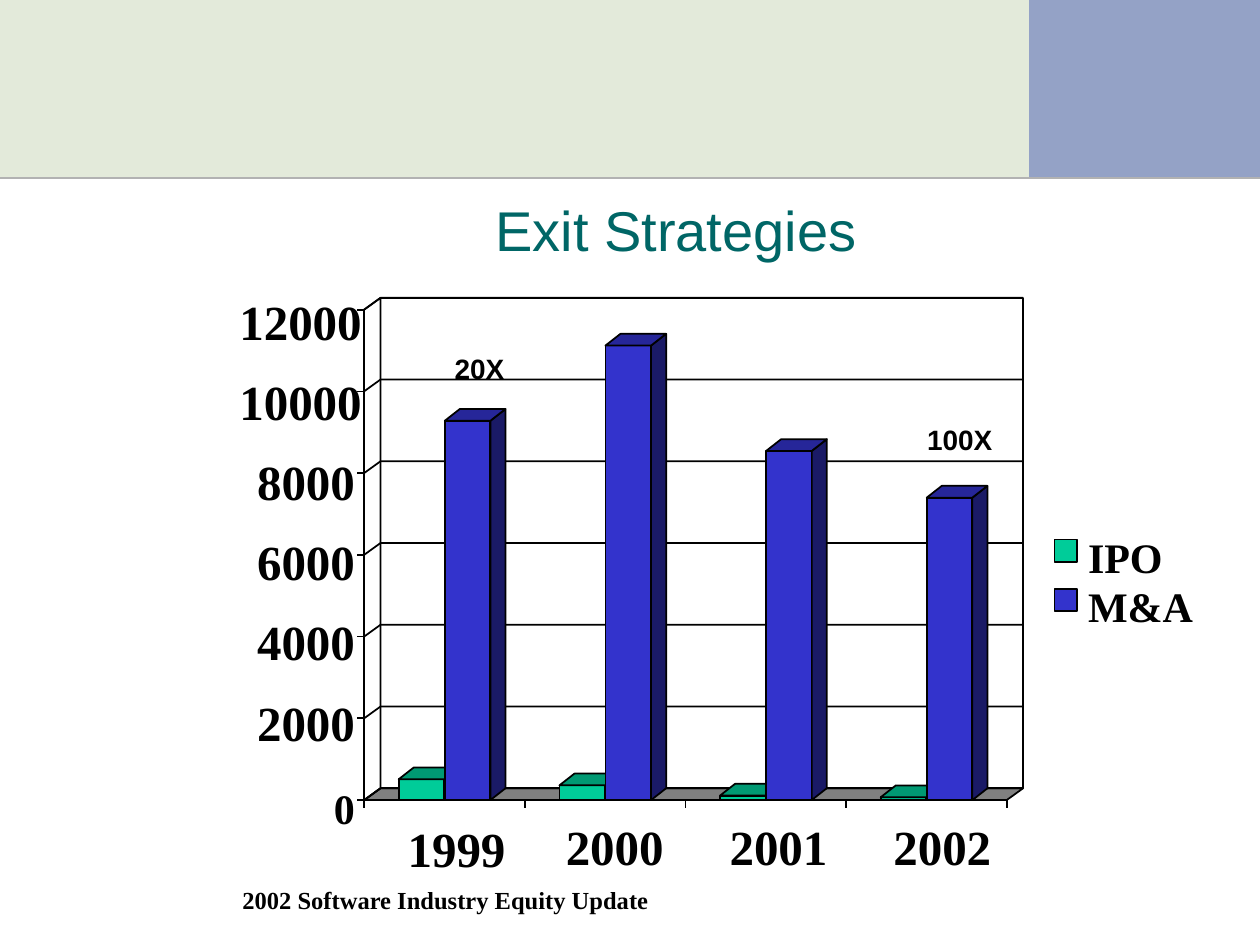
from lxml.etree import SubElement
from pptx import Presentation
from pptx.dml.color import RGBColor
from pptx.enum.shapes import MSO_CONNECTOR, MSO_SHAPE
from pptx.enum.text import MSO_AUTO_SIZE
from pptx.oxml.ns import qn
from pptx.util import Inches, Pt

WIDE, HIGH = Inches(10), Inches(7.5)
LEFT, BASE = 28.9, 84.67
COL, ROW = 12.75, 8.65
COLS, ROWS, STEP = 4, 6, 2000
DEEP, RISE = 1.3, 1.25
BAR = 3.62
SPLIT, EDGE = 81.67, 18.87
SERIF, SANS = "Times New Roman", "Arial"
BLACK = "000000"
YEARS = [("1999", 32.35, 86.6), ("2000", 44.9, 86.4),
         ("2001", 57.9, 86.4), ("2002", 70.9, 86.4)]
SERIES = [
    ("IPO", 2.75, (510, 360, 110, 70), ("00CC99", "00664D", "009973")),
    ("M&A", 6.4, (9280, 11120, 8540, 7400), ("3333CC", "1A1A66", "262699")),
]


def tint(code):
    """Turn a hex string into a colour."""
    return RGBColor.from_string(code)


def across(share):
    """Give a percentage of the slide width."""
    return int(WIDE * share / 100)


def down(share):
    """Give a percentage of the slide height."""
    return int(HIGH * share / 100)


def paint(shape, fill, line):
    """Set fill and line, either of which may be None."""
    shape.shadow.inherit = False
    if fill:
        shape.fill.solid()
        shape.fill.fore_color.rgb = tint(fill)
    else:
        shape.fill.background()
    if line:
        shape.line.color.rgb = tint(line)
        shape.line.width = Pt(1)
    else:
        shape.line.fill.background()


def block(slide, x, y, w, h, fill=None, line=BLACK):
    """Draw a rectangle."""
    box = slide.shapes.add_shape(MSO_SHAPE.RECTANGLE, across(x), down(y),
                                 across(w), down(h))
    paint(box, fill, line)


def outline(slide, spots, fill=None, line=BLACK, close=True):
    """Draw a path through the given spots."""
    first, *rest = [(across(x), down(y)) for x, y in spots]
    path = slide.shapes.build_freeform(*first)
    path.add_line_segments(rest, close=close)
    paint(path.convert_to_shape(), fill, line)


def rule(slide, x, y, x2, y2, color=BLACK):
    """Draw a straight line."""
    line = slide.shapes.add_connector(MSO_CONNECTOR.STRAIGHT, across(x),
                                      down(y), across(x2), down(y2))
    line.line.color.rgb = tint(color)
    line.line.width = Pt(1)
    SubElement(line._element.spPr, qn("a:effectLst"))


def label(slide, text, x, y, w, h, size, font=SERIF, bold=True,
          color=BLACK, pad=0, wrap=False):
    """Write one line of text."""
    box = slide.shapes.add_textbox(across(x), down(y), across(w), down(h))
    frame = box.text_frame
    frame.word_wrap = wrap
    frame.auto_size = MSO_AUTO_SIZE.SHAPE_TO_FIT_TEXT
    frame.margin_left = frame.margin_right = Inches(pad)
    frame.margin_top = frame.margin_bottom = Inches(pad / 2)
    para = frame.paragraphs[0]
    para.text = text
    para.font.name = font
    para.font.size = Pt(size)
    para.font.bold = bold
    para.font.color.rgb = tint(color)


def band(slide):
    """Draw the coloured band on top."""
    block(slide, SPLIT, 0, 100 - SPLIT, EDGE, "94A2C6", None)
    block(slide, 0, 0, SPLIT, EDGE, "E3EADA", None)
    rule(slide, 0, EDGE, 100, EDGE, "B2B2B2")


def room(slide):
    """Draw floor, grid lines and walls."""
    right, top = LEFT + COLS * COL, BASE - ROWS * ROW
    floor = [(LEFT, BASE), (LEFT + DEEP, BASE - RISE),
             (right + DEEP, BASE - RISE), (right, BASE)]
    outline(slide, floor, "808080", None)
    for row in range(ROWS + 1):
        shift = row * ROW
        outline(slide, [(x, y - shift) for x, y in floor[:3]], close=False)
    outline(slide, floor)
    outline(slide, [(LEFT, BASE), (LEFT, top), (LEFT + DEEP, top - RISE),
                    (LEFT + DEEP, BASE - RISE)])
    block(slide, LEFT + DEEP, top - RISE, COLS * COL, ROWS * ROW)


def pillar(slide, x, value, tones):
    """Draw one bar with its side, front and top."""
    front, side, cap = tones
    top, end = BASE - value / STEP * ROW, x + BAR
    lip, back = top - RISE, end + DEEP - 0.1
    outline(slide, [(end, BASE), (end, top), (back, lip),
                    (back, BASE - RISE)], side)
    block(slide, x, top, BAR, BASE - top, front)
    outline(slide, [(end, top), (back, lip), (back - BAR, lip), (x, top)], cap)


def bars(slide):
    """Draw the bars year by year."""
    for col in range(COLS):
        for _, inset, values, tones in SERIES:
            pillar(slide, LEFT + col * COL + inset, values[col], tones)


def axes(slide):
    """Draw both axes with ticks and labels."""
    rule(slide, LEFT, BASE, LEFT, BASE - ROWS * ROW)
    rule(slide, LEFT, BASE, LEFT + COLS * COL, BASE)
    for row in range(ROWS + 1):
        y = BASE - row * ROW
        rule(slide, LEFT, y, LEFT - 0.6, y)
    for col in range(COLS + 1):
        x = LEFT + col * COL
        rule(slide, x, BASE, x, BASE + 0.8)
    label(slide, "0", 26.5, 82.8, 1.7, 5.33, 24)
    for row in range(1, ROWS + 1):
        value = row * STEP
        x, w = (19, 9.85) if value >= 10000 else (20.4, 7.8)
        label(slide, str(value), x, 30.8 + (ROWS - row) * 8.49, w, 6.27, 28)
    for year, x, y in YEARS:
        label(slide, year, x, y, 7.8, 6.27, 28)


def legend(slide):
    """Draw the key to the series."""
    for row, (name, _, _, tones) in enumerate(SERIES):
        block(slide, 83.7, 57.1 + row * 5.2, 1.8, 2.4, tones[0])
        label(slide, name, 86.35, 56.2 + row * 5.25, 6.1 + row * 2.4, 5.33, 24)


def notes(slide):
    """Write the title, the callouts and the source line."""
    label(slide, "2002 Software Industry Equity Update", 18.25, 93, 38.9,
          4.53, 14, pad=0.1, wrap=True)
    label(slide, "20X", 35.1, 36.53, 7.9, 4.93, 16, SANS, pad=0.1, wrap=True)
    label(slide, "100X", 72.6, 44.05, 7.2, 4.93, 16, SANS, pad=0.1)
    label(slide, "Exit Strategies", 38.35, 20, 36.7, 8.53, 32, SANS, False,
          "006666", 0.1, True)


def main():
    """Build and save the slide."""
    deck = Presentation()
    deck.slide_width, deck.slide_height = WIDE, HIGH
    slide = deck.slides.add_slide(deck.slide_layouts[6])
    for part in (band, room, bars, axes, legend, notes):
        part(slide)
    deck.save("out.pptx")


if __name__ == "__main__":
    main()
